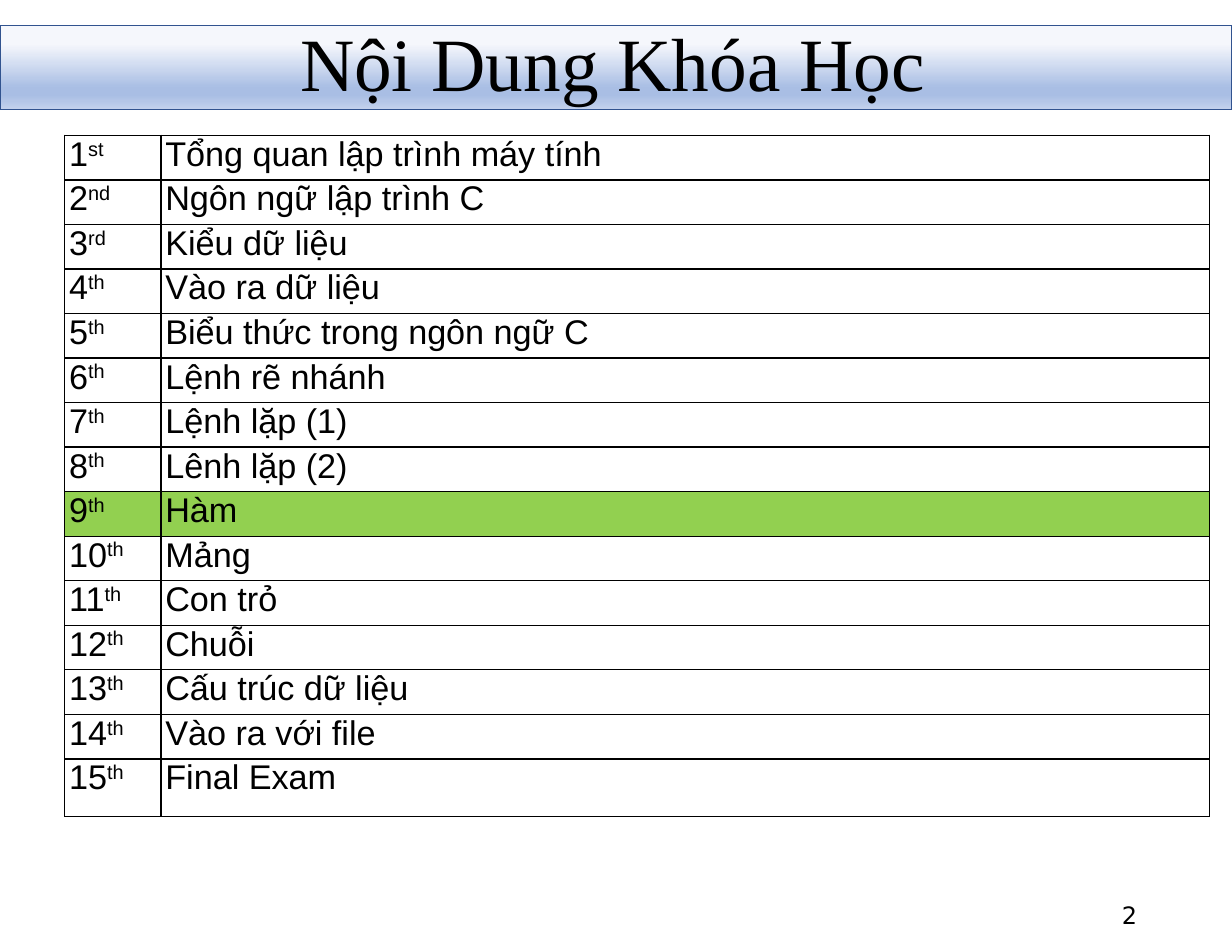
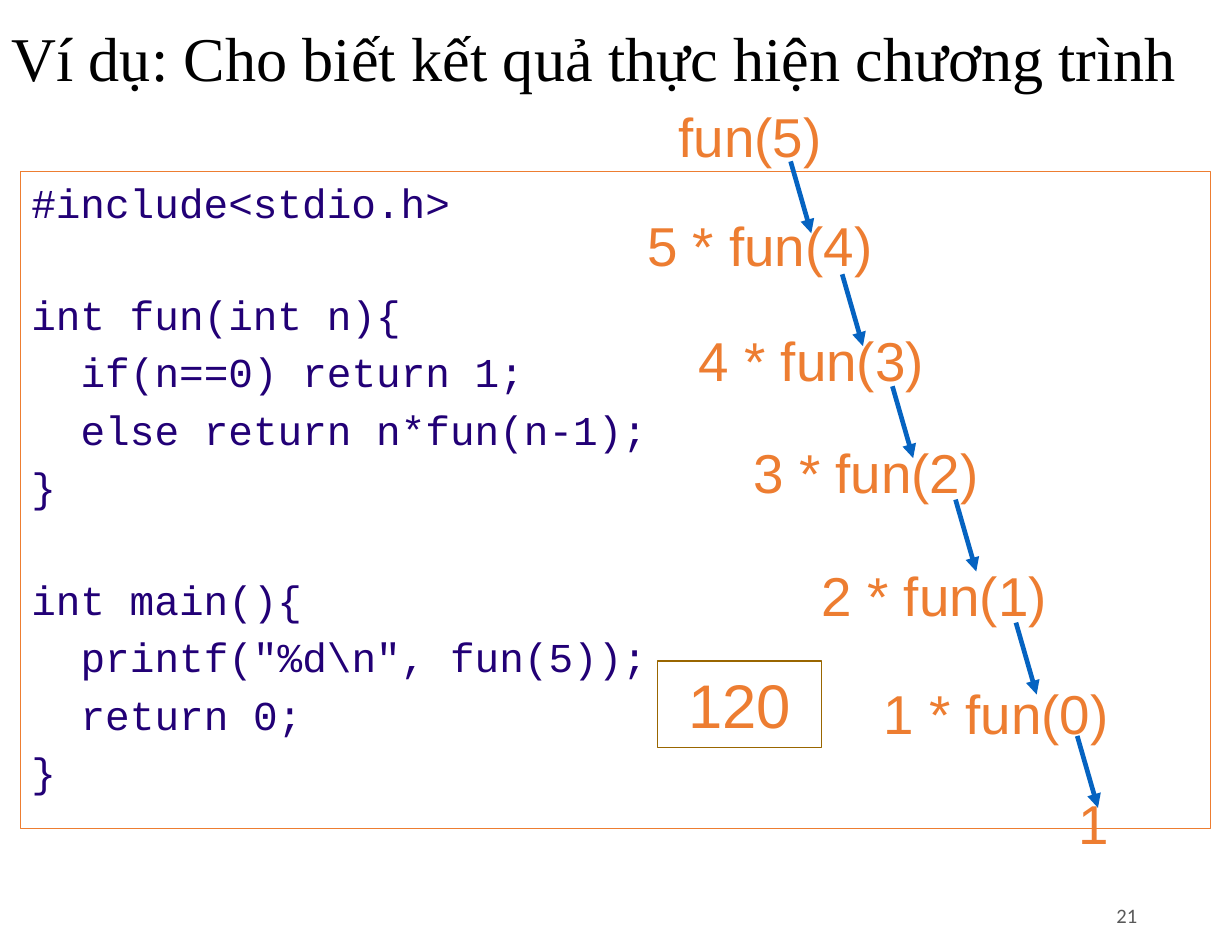
from lxml.etree import SubElement
from pptx import Presentation
from pptx.dml.color import RGBColor
from pptx.enum.shapes import MSO_CONNECTOR, MSO_SHAPE
from pptx.enum.text import MSO_ANCHOR, MSO_AUTO_SIZE, PP_ALIGN
from pptx.oxml.ns import qn
from pptx.util import Cm, Pt

hues = {
    "ink": "000000", "edge": "31538F", "mark": "92D050", "code": "220076",
    "call": "ED7D31", "arrow": "0563C1", "gold": "996600", "gray": "595959",
}
fade = [(0, "F5F7FC"), (22, "F5F7FC"), (74, "A9BEE4"), (83, "A9BEE4"), (100, "C5D3ED")]
fonts = {
    "head": {"name": "Times New Roman", "size": Pt(48.4)},
    "task": {"name": "Times New Roman", "size": Pt(40)},
    "cell": {"name": "Arial", "size": Pt(22)},
    "code": {"name": "Courier New", "size": Pt(26.4)},
    "call": {"name": "Arial", "size": Pt(35.2)},
    "sum": {"name": "Arial", "size": Pt(39.6)},
    "page": {"name": "DejaVu Sans", "size": Pt(15.4)},
    "foot": {"name": "Calibri", "size": Pt(13.2)},
}


def write(para, text, font, hue, **form):
    run = para.add_run()
    run.text = text
    for key, val in fonts[font].items():
        setattr(run.font, key, val)
    run.font.color.rgb = RGBColor.from_string(hues[hue])
    for key, val in form.items():
        setattr(para, key, val)
    return run


def block(slide, box, hue=None, width=0.75):
    place = [Cm(n) for n in box]
    if hue:
        shape = slide.shapes.add_shape(MSO_SHAPE.RECTANGLE, *place)
        shape.shadow.inherit = False
        shape.fill.background()
        shape.line.color.rgb = RGBColor.from_string(hues[hue])
        shape.line.width = Pt(width)
    else:
        shape = slide.shapes.add_textbox(*place)
    shape.text_frame.word_wrap = True
    shape.text_frame.vertical_anchor = MSO_ANCHOR.TOP
    return shape


deck = Presentation()
deck.slide_width, deck.slide_height = Cm(27.94), Cm(21.59)

pages = [
    ("Nội Dung Khóa Học", "head", (6.55, -0.81, 22.71, 4.65), "2", "page", "ink"),
    ("Ví dụ: Cho biết kết quả thực hiện chương trình", "task",
     (0, -0.69, 27.01, 4.17), "21", "foot", "gray"),
]
slides = []
for name, font, box, num, foot, hue in pages:
    slide = deck.slides.add_slide(deck.slide_layouts[5])
    title = slide.shapes.title
    for key, val in zip(("left", "top", "width", "height"), box):
        setattr(title, key, Cm(val))
    frame = title.text_frame
    frame.auto_size = MSO_AUTO_SIZE.NONE
    frame.vertical_anchor = MSO_ANCHOR.MIDDLE
    write(frame.paragraphs[0], name, font, "ink", alignment=PP_ALIGN.LEFT, line_spacing=0.9)
    frame = block(slide, (22.53, 20.19, 3.51, 1.14)).text_frame
    frame.vertical_anchor = MSO_ANCHOR.MIDDLE
    write(frame.paragraphs[0], num, foot, hue, alignment=PP_ALIGN.RIGHT)
    slides.append(slide)
course, demo = slides

band = block(course, (0, 0.58, 27.94, 1.91), "edge", 1)
band.fill.gradient()
band.fill.gradient_angle = 270
stops = band._element.spPr.find(".//" + qn("a:gsLst"))
stops.clear()
for pos, tint in fade:
    stop = SubElement(stops, qn("a:gs"), pos=str(pos * 1000))
    SubElement(stop, qn("a:srgbClr"), val=tint)
course.shapes.title._element.addprevious(band._element)

topics = [
    "Tổng quan lập trình máy tính", "Ngôn ngữ lập trình C", "Kiểu dữ liệu",
    "Vào ra dữ liệu", "Biểu thức trong ngôn ngữ C", "Lệnh rẽ nhánh",
    "Lệnh lặp (1)", "Lênh lặp (2)", "Hàm", "Mảng", "Con trỏ", "Chuỗi",
    "Cấu trúc dữ liệu", "Vào ra với file", "Final Exam",
]
ends = {1: "st", 2: "nd", 3: "rd"}
pads = {"margin_left": Cm(0.1), "margin_right": Cm(0.1), "margin_top": 0, "margin_bottom": 0}
table = course.shapes.add_table(
    len(topics), 2, Cm(1.47), Cm(3.07), Cm(25.96), Cm(15.45)).table
table.first_row = table.horz_banding = False
table.columns[0].width, table.columns[1].width = Cm(2.18), Cm(23.78)
for num, topic in enumerate(topics, 1):
    row = table.rows[num - 1]
    row.height = Cm(1.3 if num == len(topics) else 1.01)
    for cell in row.cells:
        for key, val in pads.items():
            setattr(cell, key, val)
        props = cell._tc.get_or_add_tcPr()
        for side in ("lnL", "lnR", "lnT", "lnB"):
            line = SubElement(props, qn("a:" + side), w=str(Pt(1)))
            fill = SubElement(line, qn("a:solidFill"))
            SubElement(fill, qn("a:srgbClr"), val=hues["ink"])
        if topic == "Hàm":
            cell.fill.solid()
            cell.fill.fore_color.rgb = RGBColor.from_string(hues["mark"])
        else:
            cell.fill.background()
    rank, label = [cell.text_frame.paragraphs[0] for cell in row.cells]
    write(rank, str(num), "cell", "ink", alignment=PP_ALIGN.JUSTIFY)
    end = write(rank, ends.get(num, "th"), "cell", "ink")
    end._r.get_or_add_rPr().set("baseline", "30000")
    write(label, topic, "cell", "ink", alignment=PP_ALIGN.JUSTIFY)

near, far = 5.3, 40.5
code = [
    (0, 0, "#include<stdio.h>"),
    (0, far, "int fun(int n){"),
    (1, near, "if(n==0) return 1;"),
    (1, near, "else return n*fun(n-1);"),
    (0, near, "}"),
    (0, far, "int main(){"),
    (1, near, "printf(\"%d\\n\", fun(5));"),
    (1, near, "return 0;"),
    (0, near, "}"),
]
frame = block(demo, (0.46, 3.89, 27, 14.91), "call").text_frame
for num, (level, gap, text) in enumerate(code):
    para = frame.add_paragraph() if num else frame.paragraphs[0]
    write(para, text, "code", "code", alignment=PP_ALIGN.LEFT, space_before=Pt(gap))
    para._p.get_or_add_pPr().set("marL", str(Cm(1.12 * level)))

calls = [
    ("fun(5)", 15.14, 2.21, 4.9), ("5 * fun(4)", 14.43, 4.67, 6.3),
    ("4 * fun(3)", 15.6, 7.29, 6.3), ("3 * fun(2)", 16.84, 9.83, 6.3),
    ("2 * fun(1)", 18.39, 12.62, 6.3), ("1 * fun(0)", 19.79, 15.29, 6.3),
    ("1", 24.21, 17.78, 1.4),
]
for text, left, top, width in calls:
    frame = block(demo, (left, top, width, 1.75)).text_frame
    write(frame.paragraphs[0], text, "call", "call")

frame = block(demo, (14.91, 14.99, 3.73, 1.96), "gold").text_frame
write(frame.paragraphs[0], "120", "sum", "call", alignment=PP_ALIGN.CENTER)

starts = [(17.93, 3.66), (19.1, 6.22), (20.24, 8.76),
          (21.67, 11.33), (23.04, 14.12), (24.43, 16.69)]
for left, top in starts:
    arrow = demo.shapes.add_connector(
        MSO_CONNECTOR.STRAIGHT, Cm(left), Cm(top), Cm(left + 0.47), Cm(top + 1.63))
    arrow.line.color.rgb = RGBColor.from_string(hues["arrow"])
    arrow.line.width = Pt(3)
    props = arrow._element.spPr
    SubElement(props.find(qn("a:ln")), qn("a:tailEnd"), type="triangle")
    SubElement(props, qn("a:effectLst"))

deck.save("out.pptx")
